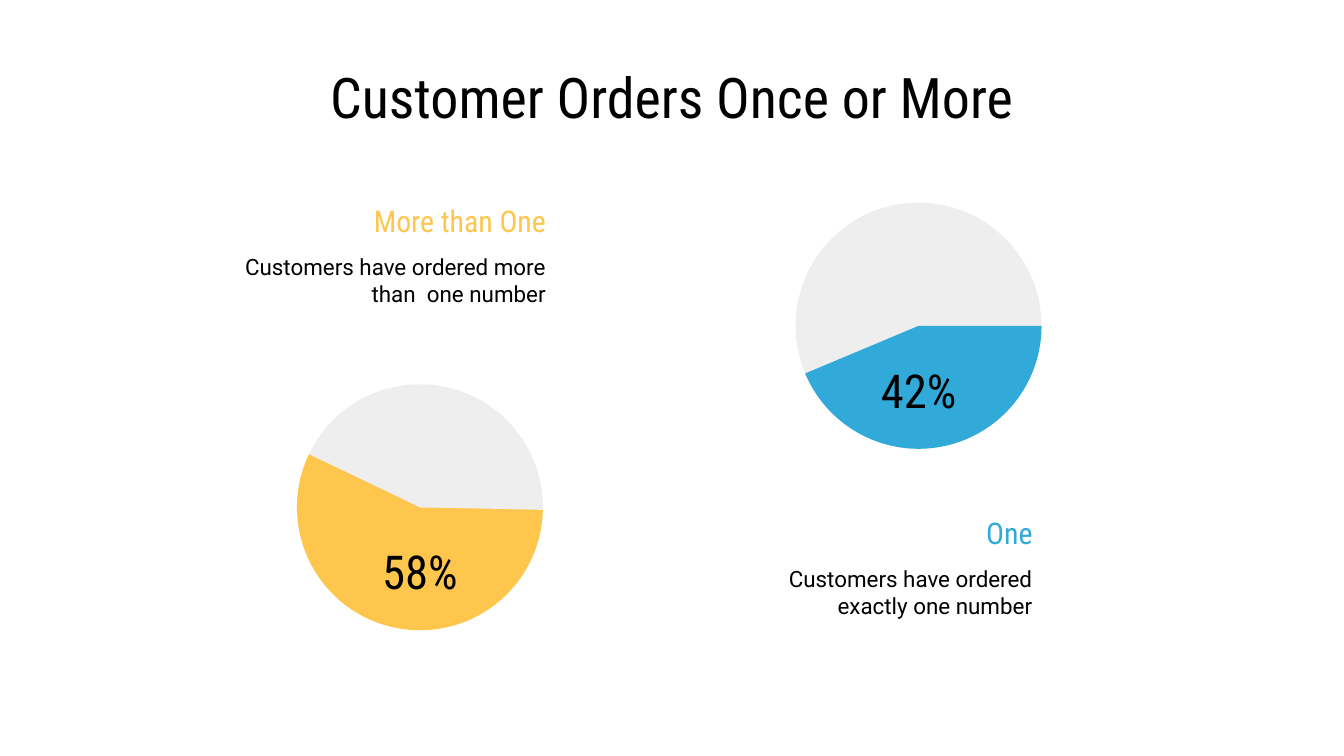
from dataclasses import dataclass

import pptx
import pptx.dml.color
import pptx.enum.shapes
import pptx.enum.text
import pptx.util

Inches = pptx.util.Inches
RGBColor = pptx.dml.color.RGBColor
ALIGN = pptx.enum.text.PP_ALIGN

BLACK = RGBColor(0x00, 0x00, 0x00)
GREY = RGBColor(0xEE, 0xEE, 0xEE)
YELLOW = RGBColor(0xFF, 0xC6, 0x4E)
BLUE = RGBColor(0x32, 0xAA, 0xD9)

CONDENSED = "Roboto Condensed"
PIE_SIZE = 1.83
ADJUSTMENT_PER_DEGREE = 0.6


@dataclass(frozen=True)
class Sector:
    start: float
    end: float
    color: RGBColor


@dataclass(frozen=True)
class Pie:
    left: float
    top: float
    percent: str
    sectors: tuple[Sector, ...]


@dataclass(frozen=True)
class Caption:
    left: float
    top: float
    heading: str
    body: str
    color: RGBColor


PIES = (
    Pie(2.21, 2.86, "58%", (
        Sector(0, 205.95, YELLOW),
        Sector(205.59, 278.35, GREY),
        Sector(277.79, 1.22, GREY),
    )),
    Pie(5.92, 1.51, "42%", (
        Sector(128.13, 308.54, GREY),
        Sector(203.32, 1.22, GREY),
        Sector(0, 157.22, BLUE),
    )),
)

CAPTIONS = (
    Caption(5.2, 3.83, "One", "Customers have ordered\nexactly one number", BLUE),
    Caption(1.58, 1.51, "More than One",
            "Customers have ordered more than  one number", YELLOW),
)


def add_text(shapes, text: str, left: float, top: float, width: float, height: float, *,
             size: float, font: str = CONDENSED, color: RGBColor = BLACK,
             align: ALIGN = ALIGN.CENTER) -> None:
    sp = shapes.add_textbox(Inches(left), Inches(top), Inches(width), Inches(height))
    tf = sp.text_frame
    tf.word_wrap = True
    tf.vertical_anchor = pptx.enum.text.MSO_ANCHOR.MIDDLE
    tf.margin_left = tf.margin_right = tf.margin_top = tf.margin_bottom = Inches(0.1)
    p = tf.paragraphs[0]
    p.alignment = align
    for i, line in enumerate(text.split("\n")):
        if i:
            p.add_line_break()
        r = p.add_run()
        r.text = line
        r.font.size = pptx.util.Pt(size)
        r.font.name = font
        r.font.color.rgb = color


def add_pie(s, pie: Pie) -> None:
    shapes = s.shapes.add_group_shape().shapes
    for sector in pie.sectors:
        sp = shapes.add_shape(pptx.enum.shapes.MSO_SHAPE.PIE, Inches(pie.left),
                              Inches(pie.top), Inches(PIE_SIZE), Inches(PIE_SIZE))
        sp.adjustments[0] = sector.start * ADJUSTMENT_PER_DEGREE
        sp.adjustments[1] = sector.end * ADJUSTMENT_PER_DEGREE
        sp.shadow.inherit = False
        sp.fill.solid()
        sp.fill.fore_color.rgb = sector.color
        sp.line.fill.background()
    add_text(shapes, pie.percent, pie.left + 0.42, pie.top + 1.08, 0.99, 0.62, size=25)


def add_caption(s, caption: Caption) -> None:
    add_text(s.shapes, caption.heading, caption.left + 1.09, caption.top, 1.49, 0.27,
             size=16, color=caption.color, align=ALIGN.RIGHT)
    add_text(s.shapes, caption.body, caption.left, caption.top + 0.29, 2.58, 0.57,
             size=12, font="Roboto", align=ALIGN.RIGHT)


def main() -> None:
    prs = pptx.Presentation()
    prs.slide_width = Inches(10)
    prs.slide_height = prs.slide_width * 9 // 16
    s = prs.slides.add_slide(prs.slide_layouts[6])
    add_text(s.shapes, "Customer Orders Once or More", 0.5, 0.45, 9, 0.53, size=30)
    for pie in PIES:
        add_pie(s, pie)
    for caption in CAPTIONS:
        add_caption(s, caption)
    prs.save("out.pptx")


if __name__ == "__main__":
    main()
